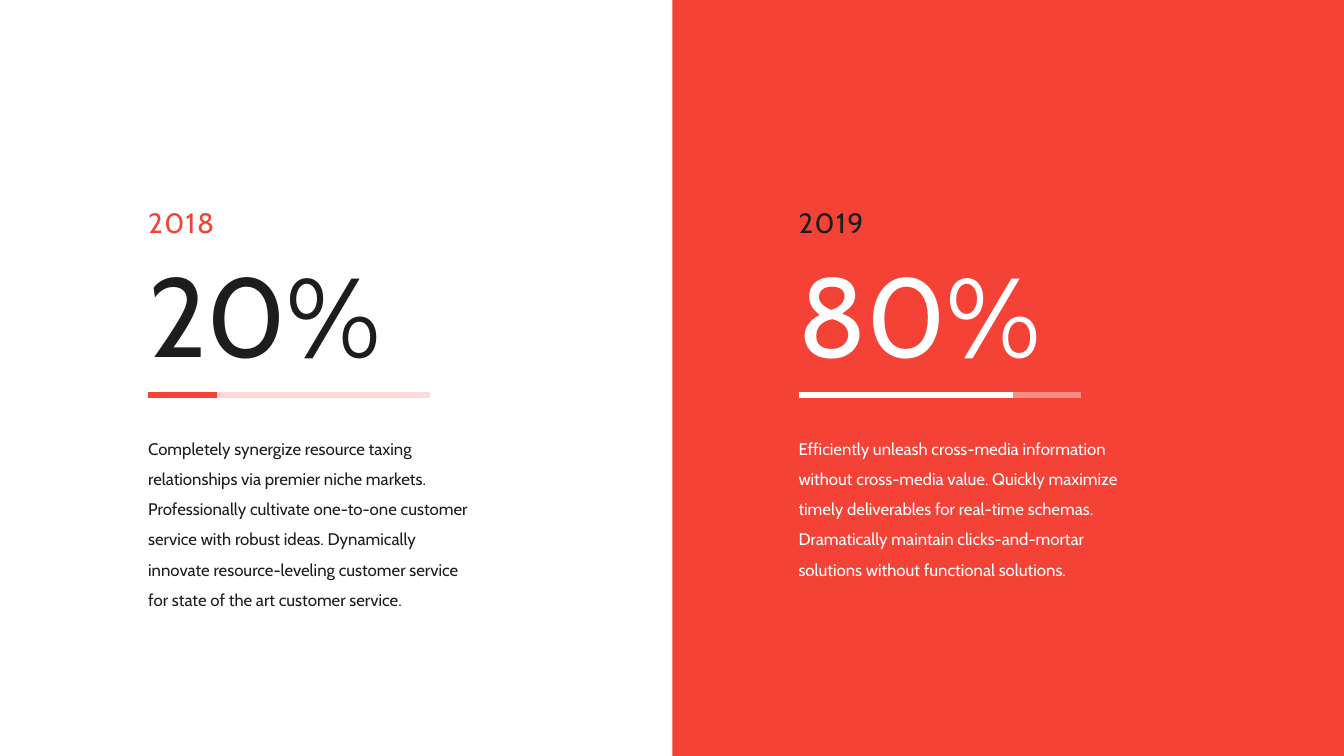
from lxml.etree import SubElement
from pptx import Presentation
from pptx.dml.color import RGBColor
from pptx.enum.shapes import MSO_CONNECTOR, MSO_SHAPE
from pptx.enum.text import MSO_ANCHOR
from pptx.oxml.ns import qn
from pptx.util import Inches, Pt

WIDE, HIGH, HALF = 13.33, 7.5, 6.67
HUES = {
    "red": "F44336",
    "dark": "1D1D1D",
    "white": "FFFFFF",
    "blush": "FDD9D7",
    "coral": "F88E86",
}
SIDES = [
    {
        "left": 7.92, "year": "2019", "share": "80%", "done": 2.13, "high": 1.78,
        "accent": "dark", "ink": "white", "track": "coral", "fill": "white",
        "body": "Efficiently unleash cross-media information without cross-media "
                "value. Quickly maximize timely deliverables for real-time schemas. "
                "Dramatically maintain clicks-and-mortar solutions without "
                "functional solutions.",
    },
    {
        "left": 1.47, "year": "2018", "share": "20%", "done": 0.68, "high": 2.16,
        "accent": "red", "ink": "dark", "track": "blush", "fill": "red",
        "body": "Completely synergize resource taxing relationships via premier "
                "niche markets. Professionally cultivate one-to-one customer "
                "service with robust ideas. Dynamically innovate "
                "resource-leveling customer service for state of the art "
                "customer service.",
    },
]


class Painter:
    font = "Cabin"

    def __init__(self, slide):
        self.slide = slide

    def hue(self, name):
        return RGBColor.from_string(HUES[name])

    def panel(self, left, top, width, height, hue):
        box = self.slide.shapes.add_shape(
            MSO_SHAPE.RECTANGLE, Inches(left), Inches(top), Inches(width), Inches(height))
        box.shadow.inherit = False
        box.fill.solid()
        box.fill.fore_color.rgb = self.hue(hue)
        box.line.fill.background()

    def text(self, words, left, top, width, height, size, hue, lead,
             anchor=MSO_ANCHOR.TOP, track=0):
        box = self.slide.shapes.add_textbox(
            Inches(left), Inches(top), Inches(width), Inches(height))
        frame = box.text_frame
        frame.word_wrap = True
        frame.vertical_anchor = anchor
        frame.margin_left = frame.margin_right = 0
        frame.margin_top = frame.margin_bottom = 0
        para = frame.paragraphs[0]
        para.line_spacing = lead
        run = para.add_run()
        run.text = words
        run.font.name = self.font
        run.font.size = Pt(size)
        run.font.color.rgb = self.hue(hue)
        if track:
            run.font._element.set("spc", str(track * 100))

    def line(self, left, top, width, hue):
        rule = self.slide.shapes.add_connector(
            MSO_CONNECTOR.STRAIGHT, Inches(left), Inches(top),
            Inches(left + width), Inches(top))
        rule.line.color.rgb = self.hue(hue)
        rule.line.width = Pt(4)
        SubElement(rule._element.spPr, qn("a:effectLst"))

    def side(self, data):
        left, ink = data["left"], data["ink"]
        self.text(data["share"], left, 2.3, 4.46, 1.36, 80, ink, 1.1)
        self.text(data["body"], left, 4.25, 3.2, data["high"], 12, ink, 1.5)
        self.text(data["year"], left, 2, 1.98, 0.37, 20, data["accent"], 1.2,
                  MSO_ANCHOR.BOTTOM, 1)
        self.line(left, 3.92, 2.8, data["track"])
        self.line(left, 3.92, data["done"], data["fill"])


def main():
    deck = Presentation()
    deck.slide_width = Inches(WIDE)
    deck.slide_height = Inches(HIGH)
    pen = Painter(deck.slides.add_slide(deck.slide_layouts[6]))
    pen.panel(HALF, 0, WIDE - HALF, HIGH, "red")
    for data in SIDES:
        pen.side(data)
    deck.save("out.pptx")


if __name__ == "__main__":
    main()
